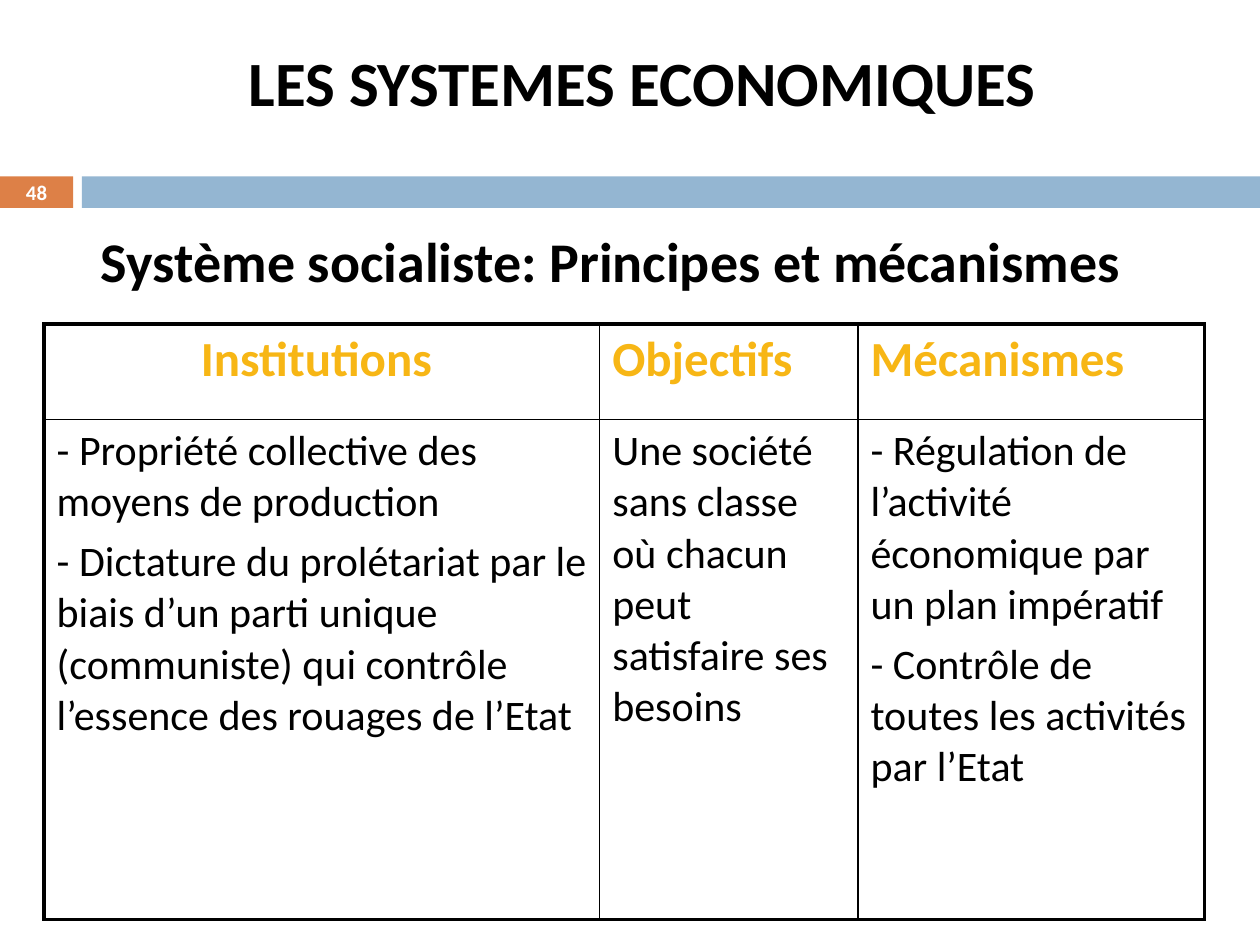
from lxml import etree
from pptx import Presentation
from pptx import util as u
from pptx.dml import color
from pptx.enum import shapes, text
from pptx.oxml import ns

BLACK = "000000"
WHITE = "FFFFFF"
ORANGE = "DD8047"
BLUE = "94B6D2"
GOLD = "F7B615"

COLUMN_WIDTHS = [4.41, 2.05, 2.75]
ROW_HEIGHTS = [0.76, 3.97]
ROWS = [
    [["Institutions "], ["Objectifs "], ["Mécanismes"]],
    [
        [
            "- Propriété collective des moyens de production",
            "- Dictature du prolétariat par le biais d’un parti unique "
            "(communiste) qui contrôle l’essence des rouages de l’Etat",
        ],
        ["Une société sans classe où chacun peut satisfaire ses besoins"],
        [
            "- Régulation de l’activité économique par un plan impératif",
            "- Contrôle de toutes les activités par l’Etat",
        ],
    ],
]


def rgb(value):
    return color.RGBColor.from_string(value)


def add_run(paragraph, wording, size, shade, bold):
    run = paragraph.add_run()
    run.text = wording
    run.font.name = "Calibri"
    run.font.size = u.Pt(size)
    run.font.bold = bold
    run.font.color.rgb = rgb(shade)


def add_bar(slide, left, width, shade):
    bar = slide.shapes.add_shape(
        shapes.MSO_SHAPE.RECTANGLE,
        u.Inches(left), u.Inches(1.4), u.Inches(width), u.Inches(0.25),
    )
    bar.shadow.inherit = False
    bar.fill.solid()
    bar.fill.fore_color.rgb = rgb(shade)
    bar.line.fill.background()


def add_heading(slide, box, wording, size, shade=BLACK, wrap=True, inset=0.05):
    frame = slide.shapes.add_textbox(*map(u.Inches, box)).text_frame
    frame.word_wrap = wrap
    frame.vertical_anchor = text.MSO_ANCHOR.MIDDLE
    frame.margin_top = frame.margin_bottom = u.Inches(inset)
    frame.margin_left = frame.margin_right = u.Inches(2 * inset)
    paragraph = frame.paragraphs[0]
    paragraph.alignment = text.PP_ALIGN.CENTER
    add_run(paragraph, wording, size, shade, True)


def set_borders(cell, widths):
    properties = cell._tc.get_or_add_tcPr()
    for position, (side, width) in enumerate(widths.items()):
        line = etree.Element(ns.qn(f"a:ln{side}"), w=str(u.Pt(width)))
        fill = etree.SubElement(line, ns.qn("a:solidFill"))
        etree.SubElement(fill, ns.qn("a:srgbClr"), val=BLACK)
        properties.insert(position, line)


def fill_cell(cell, wordings, size, shade, bold, centred):
    cell.fill.background()
    frame = cell.text_frame
    for index, wording in enumerate(wordings):
        paragraph = frame.add_paragraph() if index else frame.paragraphs[0]
        paragraph.space_before = u.Pt(0.2 * size)
        paragraph.alignment = (
            text.PP_ALIGN.CENTER if centred else text.PP_ALIGN.LEFT
        )
        add_run(paragraph, wording, size, shade, bold)


def add_principles(slide):
    principles = slide.shapes.add_table(
        len(ROW_HEIGHTS), len(COLUMN_WIDTHS),
        u.Inches(0.35), u.Inches(2.57),
        u.Inches(sum(COLUMN_WIDTHS)), u.Inches(sum(ROW_HEIGHTS)),
    ).table
    principles.first_row = False
    principles.horz_banding = False
    for column, width in zip(principles.columns, COLUMN_WIDTHS):
        column.width = u.Inches(width)
    for row, height in zip(principles.rows, ROW_HEIGHTS):
        row.height = u.Inches(height)
    last_row, last_column = len(ROW_HEIGHTS) - 1, len(COLUMN_WIDTHS) - 1
    for r, row in enumerate(ROWS):
        header = r == 0
        size, shade = (28, GOLD) if header else (24, BLACK)
        for c, wordings in enumerate(row):
            cell = principles.cell(r, c)
            fill_cell(cell, wordings, size, shade, header, header and c == 0)
            outer = {"L": c == 0, "R": c == last_column,
                     "T": r == 0, "B": r == last_row}
            set_borders(cell, {side: 2.25 if edge else 1
                               for side, edge in outer.items()})


def main():
    deck = Presentation()
    deck.slide_width = u.Inches(10)
    deck.slide_height = u.Inches(7.5)
    slide = deck.slides.add_slide(deck.slide_layouts[6])
    add_bar(slide, 0, 0.58, ORANGE)
    add_bar(slide, 0.65, 9.35, BLUE)
    add_heading(slide, (0.35, 1.31, 9, 1.51),
                "Système socialiste: Principes et mécanismes", 32)
    add_principles(slide)
    add_heading(slide, (0, 1.39, 0.58, 0.27), "48", 11.9, WHITE, inset=0)
    add_heading(slide, (1.77, 0.29, 6.65, 0.71),
                "LES SYSTEMES ECONOMIQUES", 36, wrap=False)
    deck.save("out.pptx")


main()
